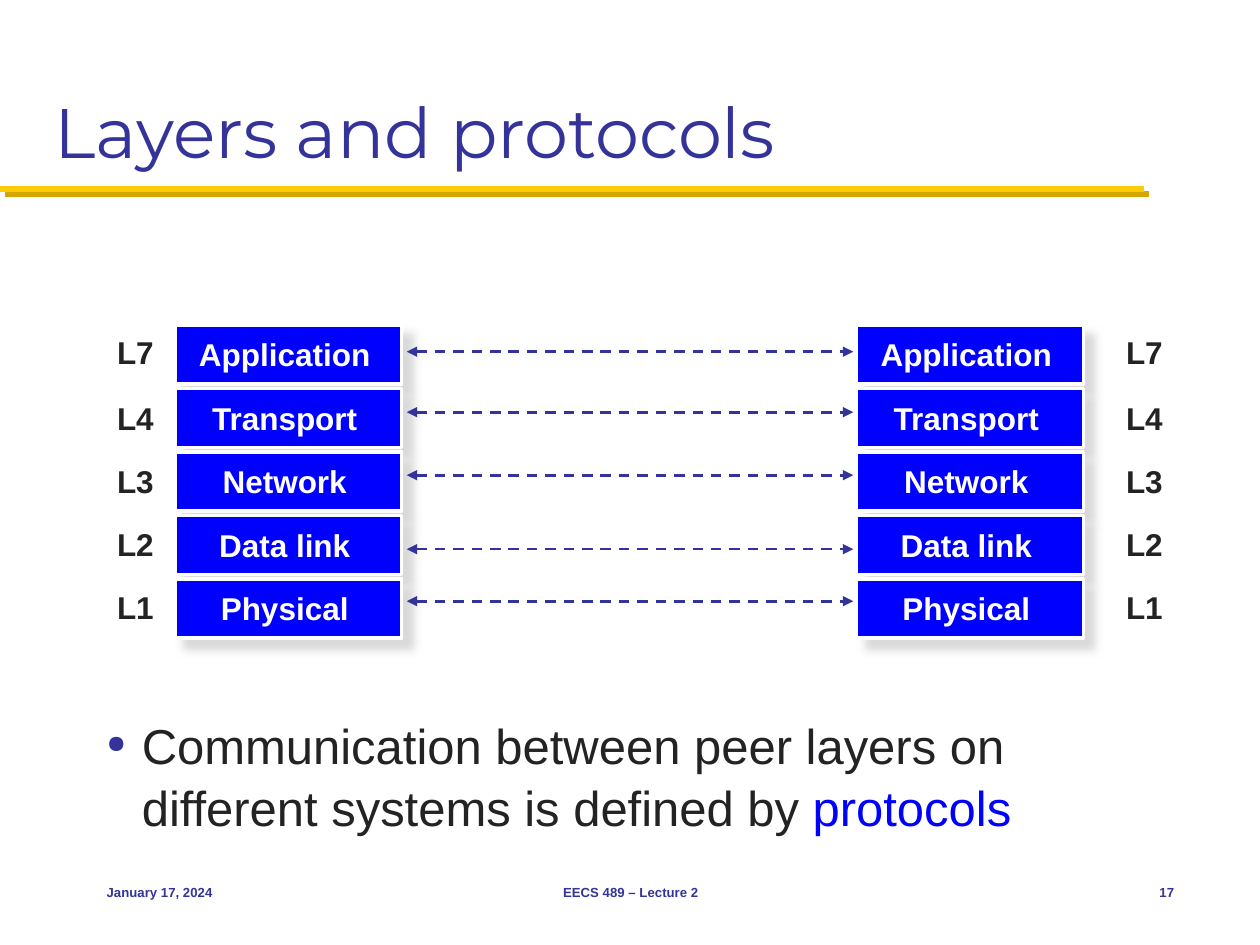
from pptx import Presentation
from pptx.dml.color import RGBColor
from pptx.enum.dml import MSO_LINE
from pptx.enum.shapes import MSO_CONNECTOR, MSO_SHAPE
from pptx.enum.text import MSO_ANCHOR, PP_ALIGN
from pptx.oxml import parse_xml
from pptx.oxml.ns import nsdecls
from pptx.util import Cm, Pt

NAVY, BLUE, INK, WHITE = "333399", "0000FF", "232323", "FFFFFF"
GOLD, DARK_GOLD, GREY = "FFCB05", "D3A600", "CECECE"

# Layer number, layer name, top of the number, height of the arrow (cm)
LAYERS = [
    ("L7", "Application", 6.58, 7.09),
    ("L4", "Transport", 7.92, 8.31),
    ("L3", "Network", 9.19, 9.58),
    ("L2", "Data link", 10.46, 11.07),
    ("L1", "Physical", 11.73, 12.12),
]
STACK_TOP, ROW_PITCH = 6.55, 1.28
SYSTEMS = [(2.11, 3.53), (22.45, 17.27)]  # left of numbers, left of blocks


def rgb(value):
    return RGBColor.from_string(value)


def drawing(tag, attributes="", content=""):
    return parse_xml(f'<a:{tag} {nsdecls("a")} {attributes}>{content}</a:{tag}>')


def add_span(para, text, size=18, color=INK, font="Arial", bold=False):
    span = para.add_run()
    span.text = text
    span.font.size = Pt(size)
    span.font.name = font
    span.font.bold = bold
    span.font.color.rgb = rgb(color)


def set_shadow(shape, color=None, distance=0, blur=0, alpha=100):
    """Give a shape or line its own shadow, or none without a color."""
    shadow = "" if color is None else (
        f'<a:outerShdw blurRad="{Pt(blur)}" dist="{Pt(distance)}" dir="2700000" '
        f'algn="ctr" rotWithShape="0"><a:srgbClr val="{color}">'
        f'<a:alpha val="{alpha * 1000}"/></a:srgbClr></a:outerShdw>')
    shape._element.spPr.append(drawing("effectLst", content=shadow))


class SlideBuilder:
    def __init__(self, page, font="Arial", title_font="Montserrat"):
        self.page = page
        self.font = font
        self.title_font = title_font

    def title(self, text, left, top, width, height):
        box = self.page.shapes.title
        box.left, box.top, box.width, box.height = map(Cm, (left, top, width, height))
        box.text_frame.vertical_anchor = MSO_ANCHOR.BOTTOM
        para = box.text_frame.paragraphs[0]
        para.alignment = PP_ALIGN.LEFT
        add_span(para, text, size=40, color=NAVY, font=self.title_font)

    def text(self, text, left, top, width, height, align=PP_ALIGN.LEFT,
             anchor=MSO_ANCHOR.TOP, wrap=True, fill=None, **style):
        box = self.page.shapes.add_textbox(*map(Cm, (left, top, width, height)))
        if fill:
            box.fill.solid()
            box.fill.fore_color.rgb = rgb(fill)
        box.text_frame.word_wrap = wrap
        box.text_frame.vertical_anchor = anchor
        para = box.text_frame.paragraphs[0]
        para.alignment = align
        if text:
            add_span(para, text, font=self.font, **style)
        return para

    def bullet(self, lines, keyword, left, top, width, height):
        para = self.text("", left, top, width, height)
        props = para._p.get_or_add_pPr()
        props.set("marL", str(Cm(0.71)))
        props.set("indent", str(-Cm(0.71)))
        props.append(drawing("buClr", content=f'<a:srgbClr val="{NAVY}"/>'))
        props.append(drawing("buSzPct", 'val="50000"'))
        props.append(drawing("buChar", 'char="●"'))
        para.line_spacing = 1.05
        for number, line in enumerate(lines):
            if number:
                para.add_line_break()
            add_span(para, line, size=28, font=self.font)
        add_span(para, keyword, size=28, color=BLUE, font=self.font)

    def block(self, text, left, top):
        box = self.page.shapes.add_shape(
            MSO_SHAPE.RECTANGLE, Cm(left), Cm(top), Cm(4.57), Cm(1.19))
        box.fill.solid()
        box.fill.fore_color.rgb = rgb(BLUE)
        box.line.color.rgb = rgb(WHITE)
        box.line.width = Pt(2)
        set_shadow(box, GREY, distance=8, blur=5, alpha=75)
        frame = box.text_frame
        frame.margin_left = frame.margin_top = frame.margin_bottom = Cm(0.1)
        frame.margin_right = Cm(0.25)
        frame.vertical_anchor = MSO_ANCHOR.MIDDLE
        para = frame.paragraphs[0]
        para.alignment = PP_ALIGN.CENTER
        add_span(para, text, color=WHITE, font=self.font, bold=True)

    def line(self, start, end, y, color, width):
        line = self.page.shapes.add_connector(
            MSO_CONNECTOR.STRAIGHT, Cm(start), Cm(y), Cm(end), Cm(y))
        line.line.color.rgb = rgb(color)
        line.line.width = Pt(width)
        return line

    def rule(self, start, end, y):
        set_shadow(self.line(start, end, y, GOLD, 3.5), DARK_GOLD, distance=4.2)

    def arrow(self, start, end, y):
        arrow = self.line(start, end, y, NAVY, 1.5)
        arrow.line.dash_style = MSO_LINE.DASH
        for tag in ("headEnd", "tailEnd"):
            arrow.line._get_or_add_ln().append(drawing(tag, 'type="triangle"'))
        set_shadow(arrow)


def main():
    deck = Presentation()
    deck.slide_width, deck.slide_height = Cm(25.4), Cm(19.05)
    page = deck.slides.add_slide(deck.slide_layouts[5])
    slide = SlideBuilder(page)

    # Title and rule
    slide.rule(0, 23.06, 3.81)
    slide.title("Layers and protocols", 0.85, 0.42, 23.7, 3.18)

    # Layer stacks of both systems
    for number_left, block_left in SYSTEMS:
        for row, (number, name, number_top, _) in enumerate(LAYERS):
            slide.block(name, block_left, STACK_TOP + row * ROW_PITCH)
            slide.text(number, number_left, number_top, 1.27, 1.02,
                       wrap=False, fill=WHITE, bold=True)

    # Protocols between peer layers
    for *_, arrow_y in LAYERS:
        slide.arrow(8.2, 17.2, arrow_y)

    # Message
    slide.bullet(["Communication between peer layers on",
                  "different systems is defined by "], "protocols",
                 1.9, 14.25, 22.02, 2.6)

    # Footer
    for text, left, width, align in (
            ("January 17, 2024", 1.9, 5.28, PP_ALIGN.LEFT),
            ("EECS 489 – Lecture 2", 8.69, 8.05, PP_ALIGN.CENTER),
            ("17", 22.22, 1.7, PP_ALIGN.RIGHT)):
        slide.text(text, left, 17.35, width, 1.27, align=align,
                   anchor=MSO_ANCHOR.MIDDLE, size=7.5, color=NAVY, bold=True)

    deck.save("out.pptx")


if __name__ == "__main__":
    main()
